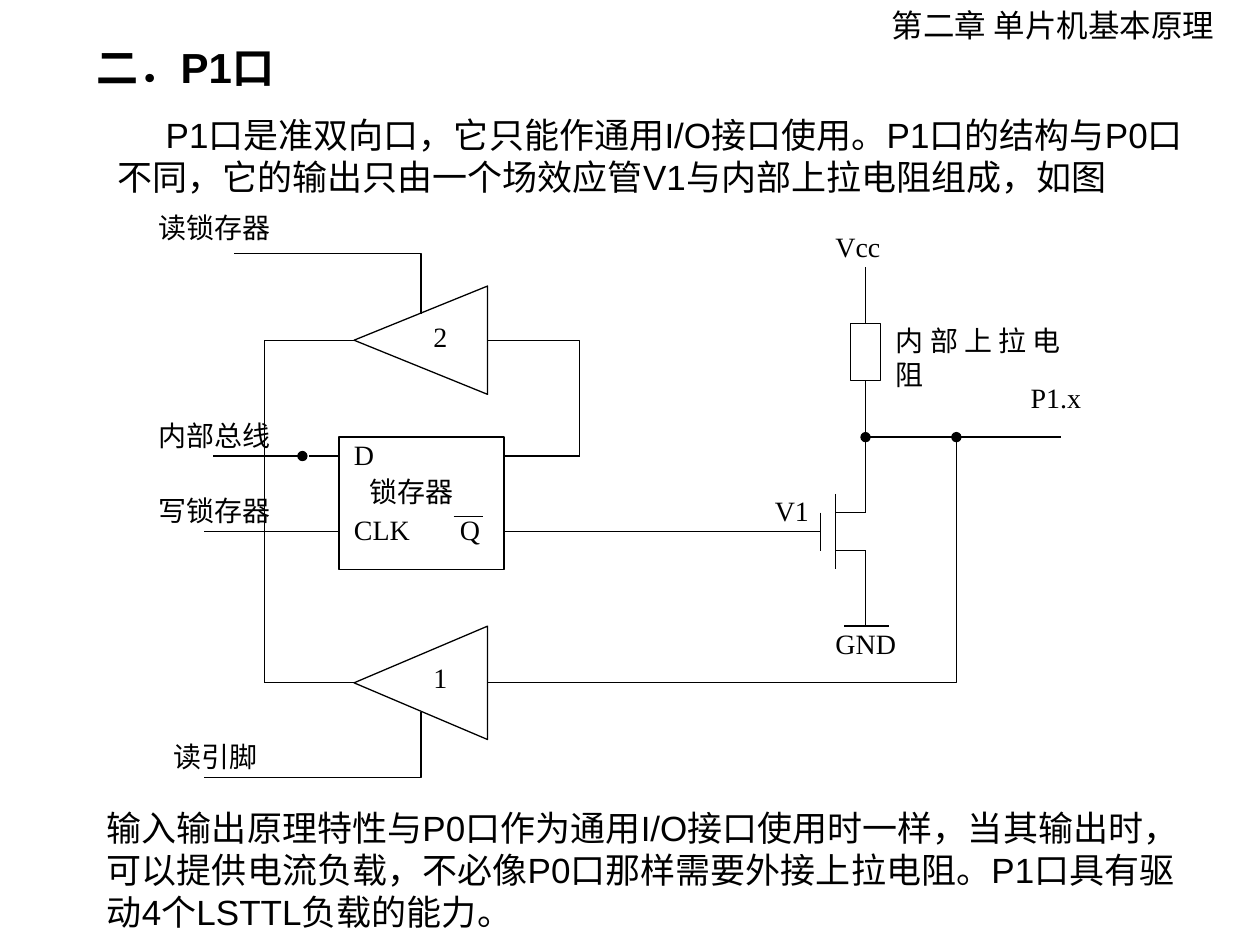
from dataclasses import dataclass

from lxml.etree import SubElement
from pptx import Presentation
from pptx.dml.color import RGBColor
from pptx.enum.shapes import MSO_CONNECTOR as Link, MSO_SHAPE as Preset
from pptx.enum.text import MSO_ANCHOR as Anchor, MSO_AUTO_SIZE as Fit, PP_ALIGN as Align
from pptx.oxml.ns import qn
from pptx.util import Pt


@dataclass(frozen=True)
class Theme:
    ink: RGBColor = RGBColor(0, 0, 0)
    paper: RGBColor = RGBColor(255, 255, 255)
    sans: str = "Arial"
    serif: str = "Times New Roman"
    chinese: str = "Noto Sans CJK JP"
    heading: int = 24
    body: int = 20
    header: int = 18
    label: int = 16
    stroke: float = 0.75


THEME = Theme()

BUS_X, DRAIN_X, PIN_X = 151.2, 494.6, 546.5
GATE_X, GATE_LEFT, GATE_RIGHT = 240.5, 202.3, 278.6
UPPER_Y, LOWER_Y = 194.4, 390.2
LATCH_LEFT, LATCH_RIGHT = 193.7, 288
DATA_Y, CLOCK_Y, PIN_Y = 260.6, 303.8, 249.8
CHANNEL_X, DRAIN_Y, SOURCE_Y, GROUND_Y = 477.4, 293, 314.6, 357.8

GATES = [(UPPER_Y, 61.9, "2"), (LOWER_Y, 64.8, "1")]

ELBOWS = [
    (133.9, 144.7, GATE_X, 179.3),
    (116.6, 444.2, GATE_X, 406.8),
    (GATE_LEFT, UPPER_Y, BUS_X, LOWER_Y),
    (GATE_RIGHT, UPPER_Y, 331.2, DATA_Y),
    (GATE_RIGHT, LOWER_Y, PIN_X, PIN_Y),
]

WIRES = [
    (GATE_LEFT, LOWER_Y, BUS_X, LOWER_Y),
    (LATCH_LEFT, DATA_Y, 176.4, DATA_Y),
    (LATCH_LEFT, CLOCK_Y, 116.6, CLOCK_Y),
    (331.2, DATA_Y, LATCH_RIGHT, DATA_Y),
    (LATCH_RIGHT, CLOCK_Y, 425.5, CLOCK_Y),
    (374.4, CLOCK_Y, 468.7, CLOCK_Y),
    (468.7, DRAIN_Y, 468.7, SOURCE_Y),
    (CHANNEL_X, 282.2, CHANNEL_X, 325.4),
    (CHANNEL_X, SOURCE_Y, DRAIN_X, SOURCE_Y),
    (DRAIN_X, SOURCE_Y, DRAIN_X, GROUND_Y),
    (CHANNEL_X, DRAIN_Y, DRAIN_X, DRAIN_Y),
    (DRAIN_X, DRAIN_Y, DRAIN_X, 217.4),
    (482.4, GROUND_Y, 508.3, GROUND_Y),
    (259.2, 295.2, 275.8, 295.2),
    (DRAIN_X, 185, DRAIN_X, 152.6),
]

DOTTED_WIRES = [
    (172.8, DATA_Y, 121.7, DATA_Y),
    (DRAIN_X, PIN_Y, PIN_X, PIN_Y),
    (PIN_X, PIN_Y, 606.2, PIN_Y),
]

LABELS = [
    ("D", 202.3, 249.8, 25.9),
    ("Q", 262.8, 293, 25.9),
    ("CLK", 202.3, 293, 43.2),
    ("锁存器", 211, 271.4, 68.4),
    ("读锁存器", 90.7, 120.2, 68.4),
    ("写锁存器", 90.7, 282.2, 68.4),
    ("内部总线", 90.7, 239, 68.4),
    ("读引脚", 99.4, 422.6, 68.4),
    ("Vcc", 477.4, 131, 68.4),
    ("GND", 477.4, 357.8, 68.4),
    ("P1.x", 589, 217.4, 43.2),
    ("V1", 442.8, 282.2, 25.9),
    ("内部上拉电阻", 511.9, 185, 94.3),
]


def format_text(frame, text, font, size, bold=False):
    frame.text = text
    para = frame.paragraphs[0]
    for span in para.runs:
        span.font.name = font
        span.font.size = Pt(size)
        span.font.bold = bold
        span.font.color.rgb = THEME.ink
        SubElement(span.font._element, qn("a:ea"), typeface=THEME.chinese)
    return para


def set_insets(frame, side, end):
    frame.margin_left = frame.margin_right = Pt(side)
    frame.margin_top = frame.margin_bottom = Pt(end)


def add_passage(page, text, area, size, font=THEME.sans, bold=False, wrap=True):
    box = page.shapes.add_textbox(*map(Pt, area))
    frame = box.text_frame
    frame.word_wrap = wrap
    frame.auto_size = Fit.SHAPE_TO_FIT_TEXT
    frame.vertical_anchor = Anchor.MIDDLE
    set_insets(frame, 7.2, 3.6)
    return format_text(frame, text, font, size, bold)


def add_label(page, text, left, top, width):
    box = page.shapes.add_textbox(Pt(left), Pt(top), Pt(width), Pt(21.6))
    box.text_frame.word_wrap = True
    set_insets(box.text_frame, 0, 0)
    para = format_text(box.text_frame, text, THEME.serif, THEME.label)
    para.alignment = Align.JUSTIFY


def add_outline(page, preset, left, top, width, height):
    shape = page.shapes.add_shape(preset, Pt(left), Pt(top), Pt(width), Pt(height))
    shape.shadow.inherit = False
    shape.fill.solid()
    shape.fill.fore_color.rgb = THEME.paper
    shape.line.color.rgb = THEME.ink
    shape.line.width = Pt(THEME.stroke)
    return shape


def add_gate(page, middle, breadth, digit):
    length = GATE_RIGHT - GATE_LEFT
    gate = add_outline(page, Preset.ISOSCELES_TRIANGLE,
                       GATE_X - breadth / 2, middle - length / 2, breadth, length)
    gate.rotation = 270
    frame = gate.text_frame
    frame.vertical_anchor = Anchor.TOP
    set_insets(frame, 3.6, 7.2)
    frame._txBody.bodyPr.set("vert", "eaVert")
    format_text(frame, digit, THEME.serif, THEME.label).alignment = Align.JUSTIFY


def add_wire(page, ends, link=Link.STRAIGHT, dot=False):
    wire = page.shapes.add_connector(link, *map(Pt, ends))
    wire.line.color.rgb = THEME.ink
    wire.line.width = Pt(THEME.stroke)
    properties = wire._element.spPr
    SubElement(properties, qn("a:effectLst"))
    if link == Link.ELBOW:
        properties.find(qn("a:prstGeom")).set("prst", "bentConnector2")
    if dot:
        SubElement(properties.find(qn("a:ln")), qn("a:headEnd"), type="oval")


def add_circuit(page):
    for gate in GATES:
        add_gate(page, *gate)
    add_outline(page, Preset.RECTANGLE, LATCH_LEFT, PIN_Y, LATCH_RIGHT - LATCH_LEFT, 75.6)
    for ends in ELBOWS:
        add_wire(page, ends, Link.ELBOW)
    for ends in WIRES:
        add_wire(page, ends)
    for ends in DOTTED_WIRES:
        add_wire(page, ends, dot=True)
    add_outline(page, Preset.RECTANGLE, 486, 185, 17.3, 32.4)
    for label in LABELS:
        add_label(page, *label)


def main():
    deck = Presentation()
    deck.slide_width, deck.slide_height = Pt(720), Pt(540)
    page = deck.slides.add_slide(deck.slide_layouts[6])
    add_passage(page, "第二章 单片机基本原理", (502.6, 0, 202.3, 28.8),
                THEME.header, font=THEME.chinese, wrap=False)
    add_passage(page, "二．P1口", (48.2, 20.2, 127.4, 36),
                THEME.heading, bold=True, wrap=False)
    intro = add_passage(page, "P1口是准双向口，它只能作通用I/O接口使用。P1口的结构与P0口不同，"
                        "它的输出只由一个场效应管V1与内部上拉电阻组成，如图",
                        (59.8, 49, 629.3, 79.2), THEME.body)
    intro._p.get_or_add_pPr().set("indent", str(Pt(27.8)))
    add_circuit(page)
    add_passage(page, "输入输出原理特性与P0口作为通用I/O接口使用时一样，当其输出时，可以提供电流负载，"
                "不必像P0口那样需要外接上拉电阻。P1口具有驱动4个LSTTL负载的能力。",
                (54, 457.2, 629.3, 79.2), THEME.body)
    deck.save("out.pptx")


if __name__ == "__main__":
    main()
